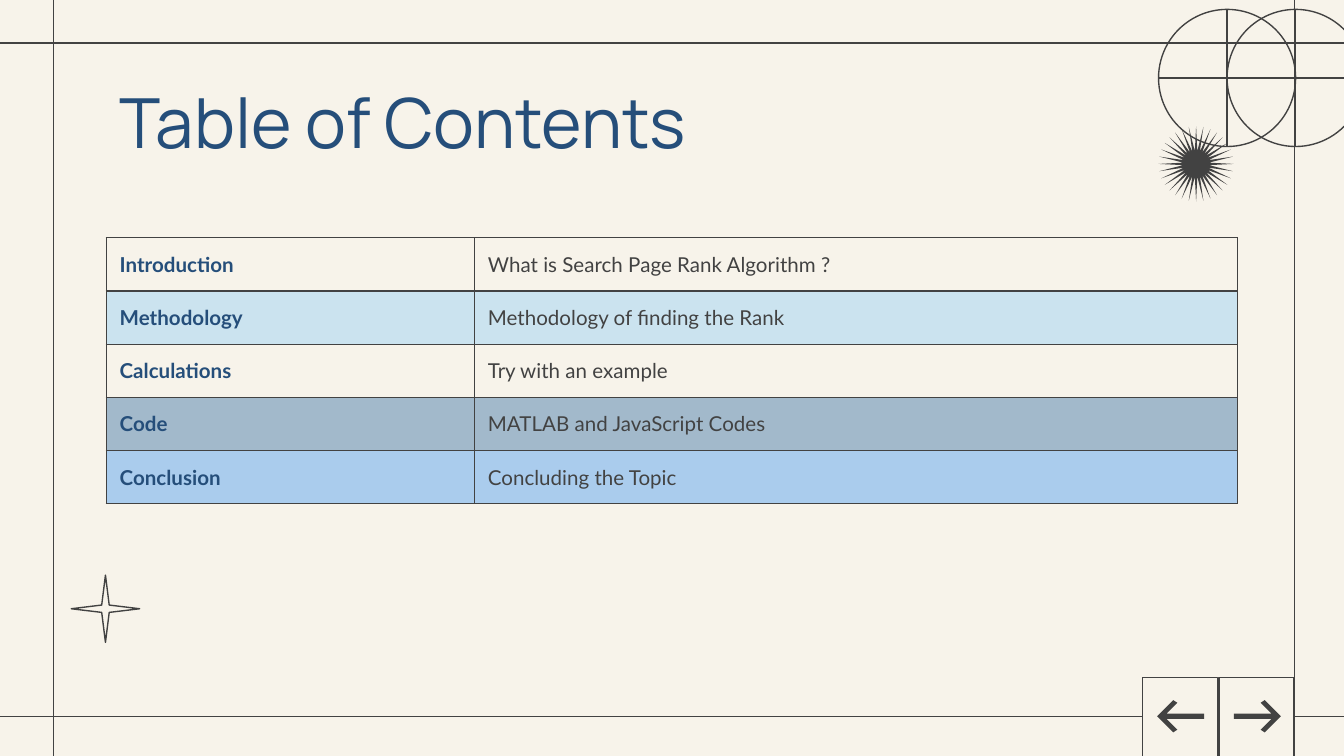
from dataclasses import dataclass

from lxml.etree import SubElement
from pptx import Presentation
from pptx.dml.color import RGBColor
from pptx.enum.shapes import MSO_CONNECTOR, MSO_SHAPE
from pptx.enum.text import MSO_ANCHOR, MSO_AUTO_SIZE, PP_ALIGN
from pptx.oxml import parse_xml
from pptx.oxml.ns import nsdecls, qn
from pptx.util import Inches, Pt


@dataclass(frozen=True)
class Theme:
    """Colours, fonts and type sizes of the deck."""

    paper: str = "F7F3EA"
    ink: str = "424242"
    navy: str = "254E7A"
    pale_blue: str = "CBE3EF"
    steel_blue: str = "5584B0"
    sky_blue: str = "78B3F0"
    title_font: str = "Manrope"
    body_font: str = "Lato"
    title_size: int = 37
    body_size: int = 11
    line_width: float = 0.75


class SlideBuilder:
    """Draws themed elements on the current slide."""

    def __init__(self, page, theme):
        """Keep the page and theme and paint the background."""
        self.page = page
        self.theme = theme
        self.paint(page.background.fill, theme.paper)

    def paint(self, fill, color):
        """Give a fill a solid colour, or none."""
        if color is None:
            fill.background()
        else:
            fill.solid()
            fill.fore_color.rgb = RGBColor.from_string(color)

    def outline(self, line):
        """Give a line the ink colour and standard width."""
        self.paint(line.fill, self.theme.ink)
        line.width = Pt(self.theme.line_width)

    def style_text(self, para, font_name, size, color, bold=False):
        """Format every run of a paragraph."""
        for span in para.runs:
            span.font.name = font_name
            span.font.size = Pt(size)
            span.font.bold = bold
            span.font.color.rgb = RGBColor.from_string(color)

    def title(self, text, left, top, width, height):
        """Place and format the title placeholder."""
        box = self.page.shapes.title
        box.left, box.top, box.width, box.height = map(Inches, (left, top, width, height))
        frame = box.text_frame
        frame.text = text
        frame.word_wrap = True
        frame.auto_size = MSO_AUTO_SIZE.NONE
        frame.vertical_anchor = MSO_ANCHOR.TOP
        frame.margin_left = frame.margin_right = Inches(0.1)
        frame.margin_top = frame.margin_bottom = Inches(0.1)
        para = frame.paragraphs[0]
        para.alignment = PP_ALIGN.LEFT
        para.line_spacing = 1.0
        self.style_text(para, self.theme.title_font, self.theme.title_size, self.theme.navy)

    def rule(self, x1, y1, x2, y2):
        """Draw a straight line."""
        rule = self.page.shapes.add_connector(
            MSO_CONNECTOR.STRAIGHT, *map(Inches, (x1, y1, x2, y2)))
        self.outline(rule.line)
        SubElement(rule._element.spPr, qn("a:effectLst"))

    def shape(self, kind, left, top, width, height, fill=None, outlined=True, point=None):
        """Draw a preset shape, with an optional star point depth."""
        shape = self.page.shapes.add_shape(kind, *map(Inches, (left, top, width, height)))
        shape.shadow.inherit = False
        self.paint(shape.fill, fill)
        if outlined:
            self.outline(shape.line)
        else:
            shape.line.fill.background()
        if point is not None:
            shape.adjustments[0] = point

    def arrow(self, tip, middle, direction):
        """Draw an arrow outline whose tip faces left (-1) or right (1)."""
        upper = [(0.12, -0.12), (0.15, -0.1), (0.07, -0.02), (0.35, -0.02)]
        lower = [(back, -rise) for back, rise in reversed(upper)]
        points = [(Inches(tip - direction * back), Inches(middle + rise))
                  for back, rise in upper + lower]
        builder = self.page.shapes.build_freeform(Inches(tip), Inches(middle))
        builder.add_line_segments(points, close=True)
        arrow = builder.convert_to_shape()
        arrow.shadow.inherit = False
        self.paint(arrow.fill, self.theme.ink)
        arrow.line.fill.background()

    def cell(self, cell, text, color, bold, fill, opacity):
        """Fill, border and write one table cell."""
        cell.text_frame.text = text
        cell.vertical_anchor = MSO_ANCHOR.MIDDLE
        cell.margin_left = cell.margin_right = Inches(0.1)
        cell.margin_top = cell.margin_bottom = 0
        self.style_text(cell.text_frame.paragraphs[0], self.theme.body_font,
                        self.theme.body_size, color, bold)
        properties = cell._tc.get_or_add_tcPr()
        for side in ("lnL", "lnR", "lnT", "lnB"):
            properties.append(parse_xml(
                f'<a:{side} {nsdecls("a")} w="{Pt(self.theme.line_width)}"><a:solidFill>'
                f'<a:srgbClr val="{self.theme.ink}"/></a:solidFill></a:{side}>'))
        self.paint(cell.fill, fill)
        if opacity < 100:
            swatch = properties.find(qn("a:solidFill")).find(qn("a:srgbClr"))
            SubElement(swatch, qn("a:alpha")).set("val", str(opacity * 1000))

    def table(self, rows, left, top, widths, row_height):
        """Draw a two-column table with a fill for each row."""
        frame = self.page.shapes.add_table(
            len(rows), len(widths), Inches(left), Inches(top),
            Inches(sum(widths)), Inches(row_height * len(rows)))
        table = frame.table
        table.first_row = table.horz_banding = False
        for column, width in zip(table.columns, widths):
            column.width = Inches(width)
        for row, (topic, detail, fill, opacity) in zip(table.rows, rows):
            row.height = Inches(row_height)
            self.cell(row.cells[0], topic, self.theme.navy, True, fill, opacity)
            self.cell(row.cells[1], detail, self.theme.ink, False, fill, opacity)


def main():
    """Build and save the contents slide."""
    theme = Theme()
    deck = Presentation()
    deck.slide_width = Inches(10)
    deck.slide_height = deck.slide_width * 9 // 16
    slide = SlideBuilder(deck.slides.add_slide(deck.slide_layouts[5]), theme)

    for y in (0.32, 5.33):
        slide.rule(-0.02, y, 10.02, y)
    for x in (0.4, 9.63):
        slide.rule(x, -0.01, x, 5.63)

    slide.title("Table of Contents", 0.79, 0.49, 8.43, 0.63)
    contents = [
        ("Introduction", "What is Search Page Rank Algorithm ?", None, 100),
        ("Methodology", "Methodology of finding the Rank", theme.pale_blue, 100),
        ("Calculations", "Try with an example", None, 100),
        ("Code", "MATLAB and JavaScript Codes", theme.steel_blue, 52),
        ("Conclusion", "Concluding the Topic", theme.sky_blue, 60),
    ]
    slide.table(contents, 0.79, 1.77, (2.74, 5.68), 1.98 / len(contents))

    for left in (8.62, 9.13):
        slide.shape(MSO_SHAPE.FLOWCHART_OR, left, 0.07, 1.02, 1.02)
    slide.shape(MSO_SHAPE.STAR_4_POINT, 0.53, 4.28, 0.51, 0.5, theme.paper, point=0.077)
    slide.shape(MSO_SHAPE.STAR_32_POINT, 8.62, 0.94, 0.56, 0.56, theme.ink,
                outlined=False, point=0.171)

    for left, tip, direction in ((9.07, 9.53, 1), (8.5, 8.61, -1)):
        slide.shape(MSO_SHAPE.RECTANGLE, left, 5.04, 0.56, 0.59, theme.paper)
        slide.arrow(tip, 5.33, direction)

    deck.save("out.pptx")


if __name__ == "__main__":
    main()
